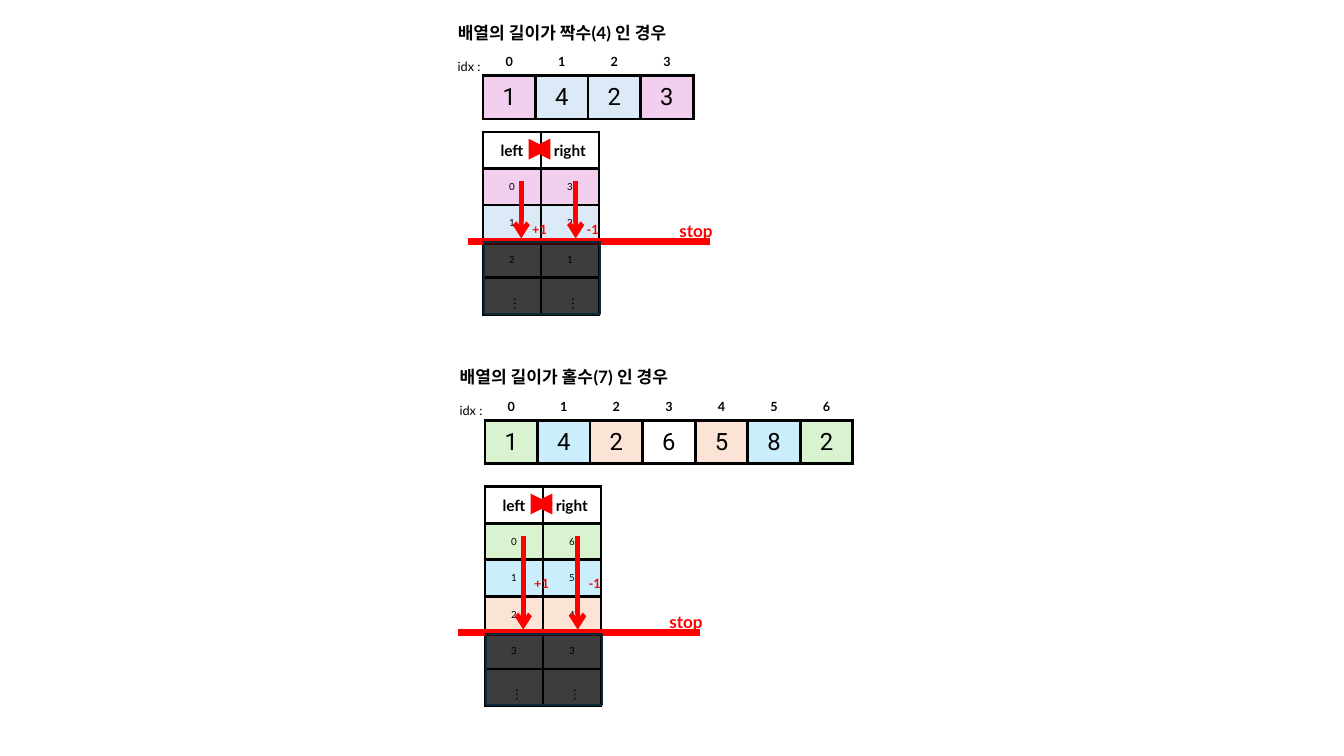
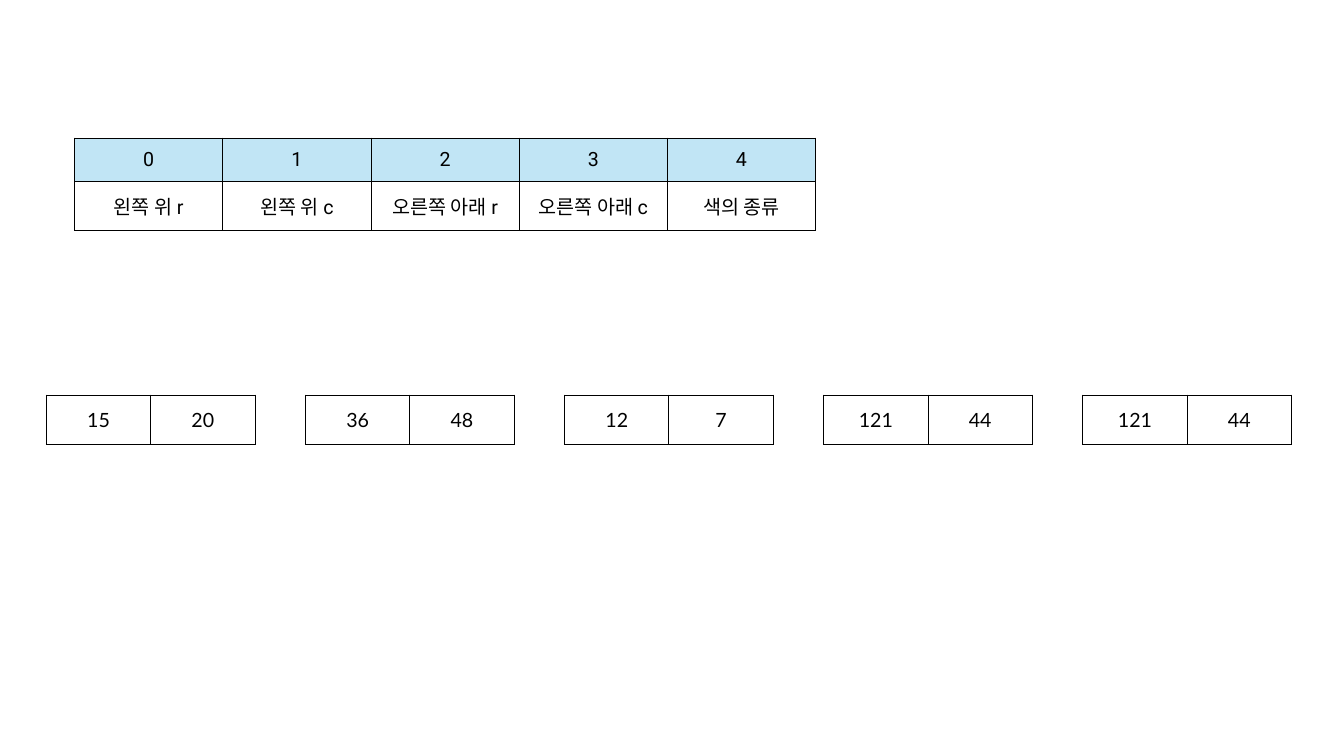
from dataclasses import dataclass

from lxml.etree import SubElement
from pptx import Presentation
from pptx.dml.color import RGBColor
from pptx.enum.shapes import MSO_CONNECTOR, MSO_SHAPE
from pptx.enum.text import MSO_ANCHOR, MSO_AUTO_SIZE, PP_ALIGN
from pptx.oxml.ns import qn
from pptx.util import Inches, Pt

BLACK = RGBColor(0x00, 0x00, 0x00)
WHITE = RGBColor(0xFF, 0xFF, 0xFF)
RED = RGBColor(0xFF, 0x00, 0x00)
PINK = RGBColor(0xF2, 0xCF, 0xEE)
PALE_BLUE = RGBColor(0xDC, 0xEA, 0xF7)
GREEN = RGBColor(0xD9, 0xF2, 0xD0)
SKY = RGBColor(0xCA, 0xEE, 0xFB)
PEACH = RGBColor(0xFB, 0xE3, 0xD6)
HEADER_BLUE = RGBColor(0xC1, 0xE5, 0xF5)
SHADE_EDGE = RGBColor(0x09, 0x2A, 0x39)

KOREAN_FONT = "Noto Sans CJK KR"
HEADING = {"name": "Lato", "size": Pt(12.2), "bold": True}
SMALL = {"name": "Lato", "size": Pt(9.1), "bold": False}
STEP = {"name": "Lato", "size": Pt(9.1), "bold": True}
DOTS = {"name": KOREAN_FONT, "size": Pt(9.1), "bold": False}
INDEX = {"name": "Lato", "size": Pt(9), "bold": True}
VALUE = {"name": "Roboto", "size": Pt(17), "bold": False}
PAIR_HEADER = {"name": "Lato", "size": Pt(11), "bold": True}
PAIR = {"name": "Lato", "size": Pt(7), "bold": False}
FIELD = {"name": "Roboto", "size": Pt(14), "bold": False}
NUMBER = {"name": "Lato", "size": Pt(14), "bold": False}
CELL_FORMAT = {
    "vertical_anchor": MSO_ANCHOR.MIDDLE,
    "margin_left": Inches(0.04),
    "margin_right": Inches(0.04),
    "margin_top": Inches(0.02),
    "margin_bottom": Inches(0.02),
}

NO_GRID_STYLE = "{2D5ABB26-0587-4C30-8999-92F81FD0307C}"
ARRAY_COLUMN = 3.65 / 7
ARRAY_ROW = 0.43
PAIR_COLUMN = 1.15 / 2
PAIR_ROW = 2.17 / 6
NUMBER_ROW = 0.49


@dataclass
class TwoPointerCase:
    """An array and the place of its walk-through on the slide."""

    heading: str
    values: tuple
    fills: tuple
    left: float
    array_top: float
    pair_top: float
    stop_left: float
    step_rise: float


CASES = (
    TwoPointerCase("배열의 길이가 짝수(4) 인 경우", (1, 4, 2, 3),
                   (PINK, PALE_BLUE), 4.79, 0.75, 1.31, 4.64, 0.24),
    TwoPointerCase("배열의 길이가 홀수(7) 인 경우", (1, 4, 2, 6, 5, 8, 2),
                   (GREEN, SKY, PEACH), 4.81, 4.17, 4.83, 4.54, 0.61),
)
FIELDS = ("왼쪽 위 r", "왼쪽 위 c", "오른쪽 아래 r", "오른쪽 아래 c", "색의 종류")
NUMBER_PAIRS = ((15, 20), (36, 48), (12, 7), (121, 44), (121, 44))


def apply_format(target, values):
    """Set each attribute named in values."""
    for name, value in values.items():
        setattr(target, name, value)


def write_text(text_frame, text, font_format, color=BLACK, align=PP_ALIGN.LEFT):
    """Write one formatted run."""
    paragraph = text_frame.paragraphs[0]
    paragraph.alignment = align
    run = paragraph.add_run()
    run.text = str(text)
    apply_format(run.font, font_format)
    run.font.color.rgb = color
    SubElement(run.font._element, qn("a:ea"), typeface=KOREAN_FONT)


def place_label(shape, box, text, font_format, color=BLACK, wrap=False):
    """Place a text shape and write its label."""
    names = ("left", "top", "width", "height")
    apply_format(shape, dict(zip(names, map(Inches, box))))
    apply_format(shape.text_frame, {
        "word_wrap": wrap,
        "auto_size": MSO_AUTO_SIZE.SHAPE_TO_FIT_TEXT,
        "vertical_anchor": MSO_ANCHOR.TOP,
    })
    write_text(shape.text_frame, text, font_format, color)


def add_label(slide, box, *args, **kwargs):
    """Add a text box holding one label."""
    shape = slide.shapes.add_textbox(0, 0, 0, 0)
    place_label(shape, box, *args, **kwargs)
    return shape


def add_borders(cell, width):
    """Draw the four sides of a cell in black."""
    properties = cell._tc.get_or_add_tcPr()
    for side in ("lnL", "lnR", "lnT", "lnB"):
        line = SubElement(properties, qn(f"a:{side}"), w=str(Pt(width)))
        fill = SubElement(line, qn("a:solidFill"))
        SubElement(fill, qn("a:srgbClr"), val=str(BLACK))


def add_grid(slide, left, top, column, heights, rows, fonts, fills, border=None):
    """Add a table of equal columns, with a font per row and a fill per cell."""
    count = len(rows[0])
    frame = slide.shapes.add_table(
        len(rows), count, Inches(left), Inches(top),
        Inches(column * count), Inches(sum(heights)))
    table = frame.table
    apply_format(table, {"first_row": False, "horz_banding": False})
    table._tbl.tblPr.find(qn("a:tableStyleId")).text = NO_GRID_STYLE
    for table_column in table.columns:
        table_column.width = Inches(column)
    for i, values in enumerate(rows):
        table.rows[i].height = Inches(heights[i])
        for j, value in enumerate(values):
            cell = table.cell(i, j)
            apply_format(cell, CELL_FORMAT)
            if border:
                add_borders(cell, border)
            if fills[i][j] is None:
                cell.fill.background()
            else:
                cell.fill.solid()
                cell.fill.fore_color.rgb = fills[i][j]
            if value != "":
                write_text(cell.text_frame, value, fonts[i], align=PP_ALIGN.CENTER)


def add_red_line(slide, start, end, width, head=None, tail=None):
    """Add a straight red line with optional arrowheads."""
    points = map(Inches, (*start, *end))
    connector = slide.shapes.add_connector(MSO_CONNECTOR.STRAIGHT, *points)
    connector.line.color.rgb = RED
    connector.line.width = Pt(width)
    for tag, kind in (("a:headEnd", head), ("a:tailEnd", tail)):
        if kind:
            SubElement(connector.line._get_or_add_ln(), qn(tag), type=kind)
    SubElement(connector._element.spPr, qn("a:effectLst"))


def add_shade(slide, left, top, width, height):
    """Add a translucent dark cover."""
    shade = slide.shapes.add_shape(
        MSO_SHAPE.RECTANGLE, *map(Inches, (left, top, width, height)))
    shade.shadow.inherit = False
    shade.fill.solid()
    shade.fill.fore_color.rgb = BLACK
    color = shade._element.spPr.find(qn("a:solidFill")).find(qn("a:srgbClr"))
    SubElement(color, qn("a:alpha"), val="76000")
    shade.line.color.rgb = SHADE_EDGE
    shade.line.width = Pt(1.5)


def add_array(slide, case):
    """Add the array with its indices above."""
    count = len(case.values)
    fills = (*case.fills, None)
    array_fills = [fills[min(i, count - 1 - i)] for i in range(count)]
    add_grid(slide, case.left, case.array_top, ARRAY_COLUMN, [ARRAY_ROW],
             [case.values], [VALUE], [array_fills], 2.25)
    add_grid(slide, case.left, case.array_top - 0.25, ARRAY_COLUMN, [0.22],
             [range(count)], [INDEX], [[None] * count])
    add_label(slide, (case.left - 0.35, case.array_top - 0.22, 0.5, 0.25),
              "idx :", SMALL)


def add_pairs(slide, case):
    """Add the left and right pointer table with its stop line."""
    count = len(case.values)
    half = count // 2
    rows = [("left", "right"), *((i, count - 1 - i) for i in range(half + 1)), ("", "")]
    fills = [(color, color) for color in (WHITE, *case.fills, WHITE, WHITE)]
    fonts = [PAIR_HEADER] + [PAIR] * (half + 2)
    add_grid(slide, case.left, case.pair_top, PAIR_COLUMN, [PAIR_ROW] * len(rows),
             rows, fonts, fills, 2.25)
    stop = case.pair_top + (half + 1) * PAIR_ROW
    for side, step in enumerate(("+1", "-1")):
        arrow_x = case.left + 0.38 + 0.54 * side
        add_red_line(slide, (arrow_x, case.pair_top + 0.49), (arrow_x, stop - 0.03),
                     3.5, tail="arrow")
        add_label(slide, (arrow_x + 0.01, stop - case.step_rise, 0.35, 0.25),
                  step, STEP, RED)
        dots_left = case.left + 0.21 + PAIR_COLUMN * side
        dots = add_label(slide, (dots_left, stop + 0.45, 0.23, 0.25), "…", DOTS, wrap=True)
        dots.rotation = 90
    header_middle = case.pair_top + 0.17
    add_red_line(slide, (case.left + 0.46, header_middle),
                 (case.left + 0.66, header_middle), 5, "triangle", "triangle")
    add_red_line(slide, (case.stop_left, stop), (case.stop_left + 2.4, stop), 5)
    add_label(slide, (case.stop_left + 2, stop - 0.26, 0.56, 0.31), "stop", HEADING, RED)
    add_shade(slide, case.left + 0.01, stop + 0.01, 2 * PAIR_COLUMN, 0.71)


def build_pointer_slide(presentation):
    """Build the even and odd walk-throughs."""
    slide = presentation.slides.add_slide(presentation.slide_layouts[5])
    headings = (slide.shapes.title, slide.shapes.add_textbox(0, 0, 0, 0))
    for case, heading in zip(CASES, headings):
        place_label(heading, (case.left - 0.35, case.array_top - 0.58, 2.49, 0.31),
                    case.heading, HEADING)
        add_array(slide, case)
        add_pairs(slide, case)


def build_table_slide(presentation):
    """Build the field table and the row of number pairs."""
    slide = presentation.slides.add_slide(presentation.slide_layouts[6])
    count = len(FIELDS)
    add_grid(slide, 0.74, 1.37, 1.47, [ARRAY_ROW, NUMBER_ROW], [range(count), FIELDS],
             [FIELD, FIELD], [[HEADER_BLUE] * count, [None] * count], 0.75)
    for i, pair in enumerate(NUMBER_PAIRS):
        add_grid(slide, 0.46 + 2.57 * i, 3.92, 2.07 / 2, [NUMBER_ROW], [pair],
                 [NUMBER], [(None, None)], 0.75)


def main():
    """Build and save the presentation."""
    presentation = Presentation()
    presentation.slide_width = Inches(13.33)
    presentation.slide_height = Inches(7.5)
    build_pointer_slide(presentation)
    build_table_slide(presentation)
    presentation.save("out.pptx")


if __name__ == "__main__":
    main()
